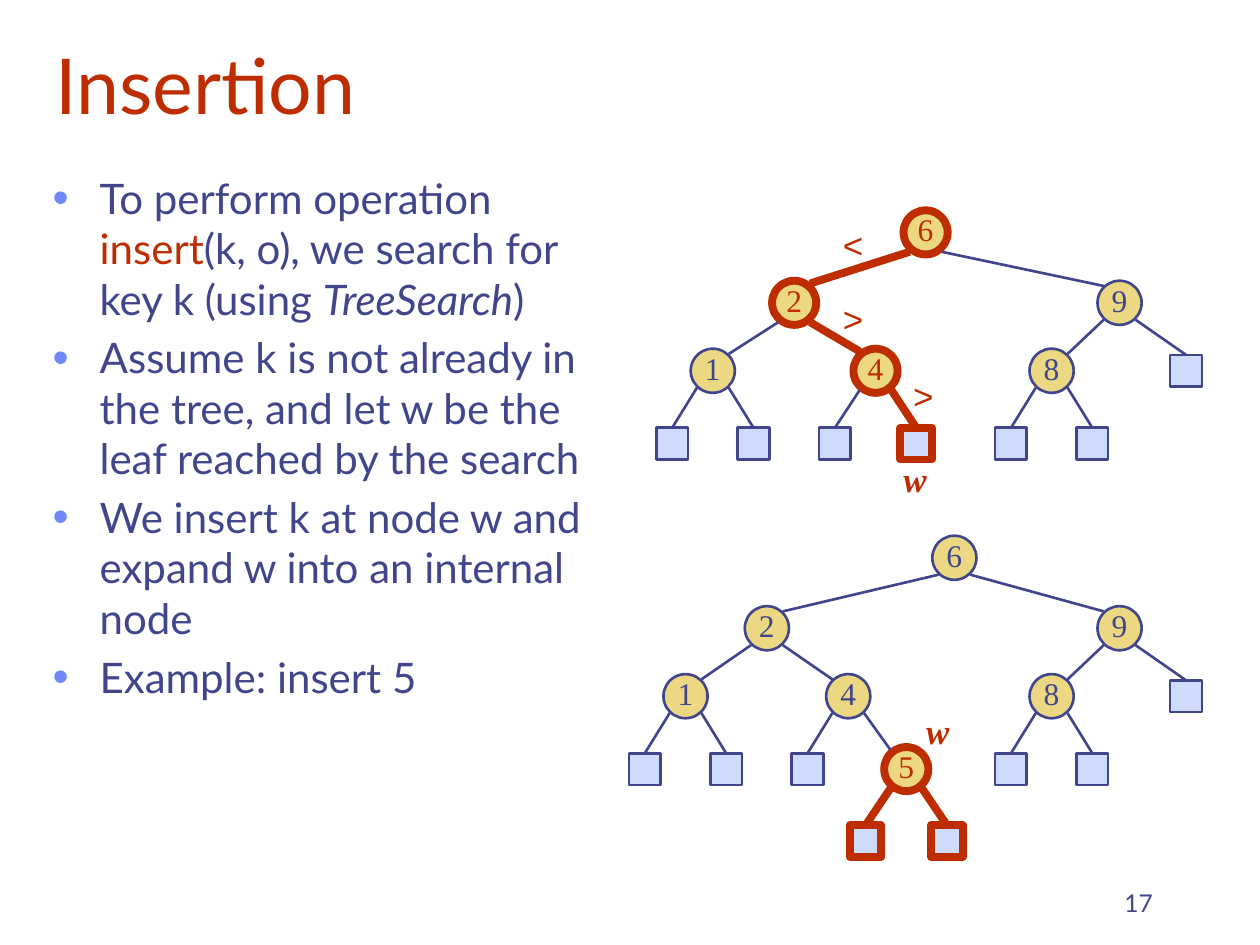
from dataclasses import dataclass

from lxml.etree import SubElement
from pptx import Presentation
from pptx.dml.color import RGBColor
from pptx.enum.shapes import MSO_CONNECTOR, MSO_SHAPE
from pptx.enum.text import MSO_ANCHOR, MSO_AUTO_SIZE, PP_ALIGN
from pptx.oxml.ns import qn
from pptx.util import Cm, Pt


@dataclass(frozen=True)
class Theme:
    ink: RGBColor = RGBColor.from_string("40458C")
    accent: RGBColor = RGBColor.from_string("BE2D00")
    bullet: str = "6F89F7"
    node_fill: RGBColor = RGBColor.from_string("ECD882")
    leaf_fill: RGBColor = RGBColor.from_string("CFDBFD")
    text_font: str = "Lato"
    node_font: str = "Times New Roman"
    sign_font: str = "Arial"
    title_size: int = 44
    body_size: int = 24
    mark_size: int = 20
    node_size: int = 18
    number_size: int = 14
    thin: float = 1.5
    thick: float = 4.5


THEME = Theme()

# Tree measures in cm
LEVELS = [0, 1.42, 2.79, 4.26, 5.71]
NODE, LEAF = 0.89, 0.64
LEAF_DX = 0.82
EDGE_DX, EDGE_DY, HOT_EDGE_DY = 0.32, 0.34, 0.39


@dataclass(frozen=True)
class Node:
    """A tree node; dx is its offset from the parent, no key means a leaf."""
    dx: float
    key: str = ""
    children: tuple = ()
    hot: bool = False


def leaves(hot_left=False, hot_right=False):
    return Node(-LEAF_DX, hot=hot_left), Node(LEAF_DX, hot=hot_right)


def style_run(run, size, color, font=THEME.text_font, bold=None, italic=None):
    run.font.size, run.font.name, run.font.color.rgb = Pt(size), font, color
    run.font.bold, run.font.italic = bold, italic


def place(part, box):
    part.left, part.top, part.width, part.height = (Cm(v) for v in box)


def add_title(slide, box, wording):
    title = slide.shapes.title
    place(title, box)
    frame = title.text_frame
    frame.text = wording
    frame.auto_size = MSO_AUTO_SIZE.NONE
    frame.vertical_anchor = MSO_ANCHOR.BOTTOM
    frame.paragraphs[0].alignment = PP_ALIGN.LEFT
    style_run(frame.paragraphs[0].runs[0], THEME.title_size, THEME.accent)


def set_bullet(paragraph):
    properties = paragraph._p.get_or_add_pPr()
    properties.set("marL", str(Cm(0.95)))
    properties.set("indent", str(-Cm(0.95)))
    color = SubElement(properties, qn("a:buClr"))
    SubElement(color, qn("a:srgbClr"), val=THEME.bullet)
    SubElement(properties, qn("a:buSzPct"), val="110000")
    SubElement(properties, qn("a:buFont"), typeface=THEME.sign_font)
    SubElement(properties, qn("a:buChar"), char="•")


def add_steps(slide, box, steps):
    """Bulleted text; each step is a list of (wording, emphasis) pieces."""
    frame = slide.shapes.add_textbox(*(Cm(v) for v in box)).text_frame
    frame.word_wrap = True
    for index, pieces in enumerate(steps):
        paragraph = frame.paragraphs[0] if index == 0 else frame.add_paragraph()
        paragraph.space_before = Pt(0.2 * THEME.body_size)
        set_bullet(paragraph)
        for wording, emphasis in pieces:
            run = paragraph.add_run()
            run.text = wording
            color = THEME.accent if emphasis == "accent" else THEME.ink
            style_run(run, THEME.body_size, color,
                      italic=True if emphasis == "italic" else None)


def add_page_number(slide, box, number):
    frame = slide.shapes.add_textbox(*(Cm(v) for v in box)).text_frame
    frame.word_wrap = True
    frame.vertical_anchor = MSO_ANCHOR.BOTTOM
    frame.text = number
    frame.paragraphs[0].alignment = PP_ALIGN.RIGHT
    style_run(frame.paragraphs[0].runs[0], THEME.number_size, THEME.ink)


def set_line(line, hot):
    line.color.rgb = THEME.accent if hot else THEME.ink
    line.width = Pt(THEME.thick if hot else THEME.thin)


def add_node(shapes, node, x, y):
    """Draw one node centred on x, y."""
    size = NODE if node.key else LEAF
    kind = MSO_SHAPE.OVAL if node.key else MSO_SHAPE.RECTANGLE
    shape = shapes.add_shape(kind, Cm(x - size / 2), Cm(y - size / 2), Cm(size), Cm(size))
    shape.shadow.inherit = False
    shape.fill.solid()
    shape.fill.fore_color.rgb = THEME.node_fill if node.key else THEME.leaf_fill
    set_line(shape.line, node.hot)
    if node.key:
        frame = shape.text_frame
        frame.margin_left = frame.margin_right = frame.margin_top = 0
        frame.margin_bottom = Cm(0.13)
        frame.word_wrap = False
        frame.vertical_anchor = MSO_ANCHOR.MIDDLE
        frame.text = node.key
        frame.paragraphs[0].alignment = PP_ALIGN.CENTER
        style_run(frame.paragraphs[0].runs[0], THEME.node_size,
                  THEME.accent if node.hot else THEME.ink, THEME.node_font)
    return shape


def add_edge(shapes, parent, start, child, end, child_shape):
    (x1, y1), (x2, y2) = start, end
    side = EDGE_DX if child.dx > 0 else -EDGE_DX
    x1 += side
    y1 += HOT_EDGE_DY if parent.hot else EDGE_DY
    if child.key:
        x2 -= side
        y2 -= HOT_EDGE_DY if child.hot else EDGE_DY
    edge = shapes.add_connector(MSO_CONNECTOR.STRAIGHT, Cm(x1), Cm(y1), Cm(x2), Cm(y2))
    if not child.key:
        edge.end_connect(child_shape, 0)
    set_line(edge.line, parent.hot and child.hot)
    SubElement(edge._element.spPr, qn("a:effectLst"))


def add_branch(shapes, node, x, top, level=0):
    """Draw a node with everything below it; return its centre and shape."""
    centre = x, top + LEVELS[level]
    shape = add_node(shapes, node, *centre)
    for child in node.children:
        end, child_shape = add_branch(shapes, child, x + child.dx, top, level + 1)
        add_edge(shapes, node, centre, child, end, child_shape)
    return centre, shape


def add_tree(slide, left, top, root, marks):
    """Marks are (wording, x, y), measured from the tree's top left corner."""
    shapes = slide.shapes.add_group_shape().shapes
    add_branch(shapes, root, left + root.dx, top + NODE / 2)
    for wording, x, y in marks:
        is_name = wording.isalpha()
        width = 0.99 if is_name else 0.89
        frame = shapes.add_textbox(Cm(left + x), Cm(top + y), Cm(width), Cm(1.09)).text_frame
        frame.word_wrap = False
        frame.auto_size = MSO_AUTO_SIZE.SHAPE_TO_FIT_TEXT
        frame.text = wording
        style_run(frame.paragraphs[0].runs[0], THEME.mark_size, THEME.accent,
                  THEME.node_font if is_name else THEME.sign_font, is_name, is_name)


def main():
    deck = Presentation()
    deck.slide_width, deck.slide_height = Cm(25.4), Cm(19.05)
    slide = deck.slides.add_slide(deck.slide_layouts[5])

    add_title(slide, (0.86, -0.43, 21.59, 3.18), "Insertion")
    add_steps(slide, (0.81, 3.35, 12.12, 13.39), [
        [("To perform operation ", ""), ("insert", "accent"),
         ("(k, o), we search for key k (using ", ""), ("TreeSearch", "italic"), (")", "")],
        [("Assume k is not already in the tree, and let w be the leaf reached by the search", "")],
        [("We insert k at node w and expand w into an internal node", "")],
        [("Example: insert 5", "")],
    ])

    one = Node(-1.64, "1", leaves())
    eight = Node(-1.37, "8", leaves())
    four_before = Node(1.64, "4", leaves(hot_right=True), hot=True)
    before = Node(5.96, "6", (
        Node(-2.65, "2", (one, four_before), hot=True),
        Node(3.91, "9", (eight, Node(1.34))),
    ), hot=True)
    five = Node(1.17, "5", leaves(True, True), hot=True)
    four_after = Node(1.64, "4", (Node(-LEAF_DX), five))
    after = Node(6.54, "6", (
        Node(-3.78, "2", (one, four_after)),
        Node(3.33, "9", (eight, Node(1.34))),
    ))
    add_tree(slide, 12.7, 4.24, before, [
        ("<", 4.04, 0.15), (">", 4.04, 1.63), (">", 5.46, 3.18), ("w", 5.26, 4.85)])
    add_tree(slide, 12.7, 10.8, after, [("w", 5.72, 3.38)])

    add_page_number(slide, (18.21, 17.35, 5.28, 1.27), "17")
    deck.save("out.pptx")


if __name__ == "__main__":
    main()
